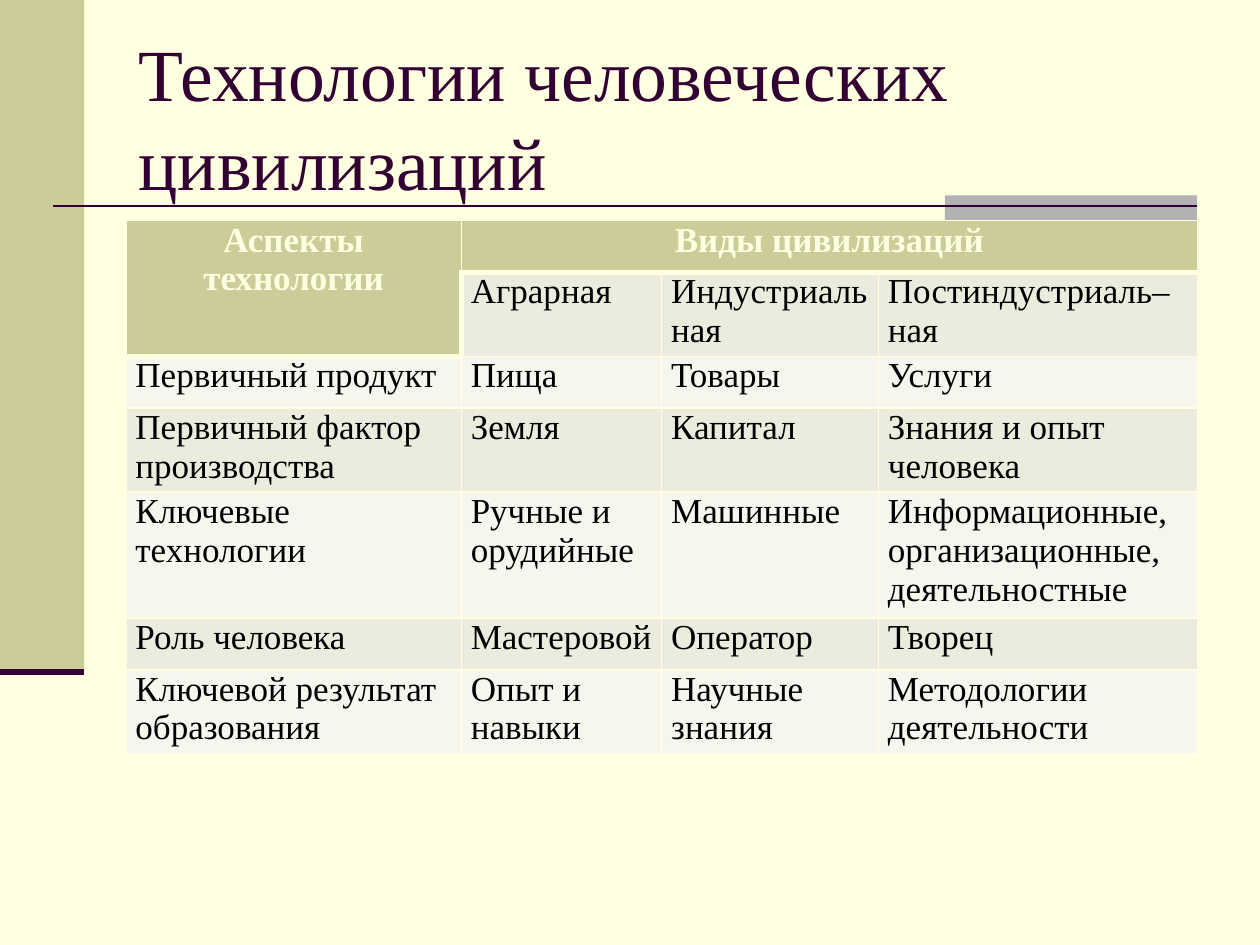
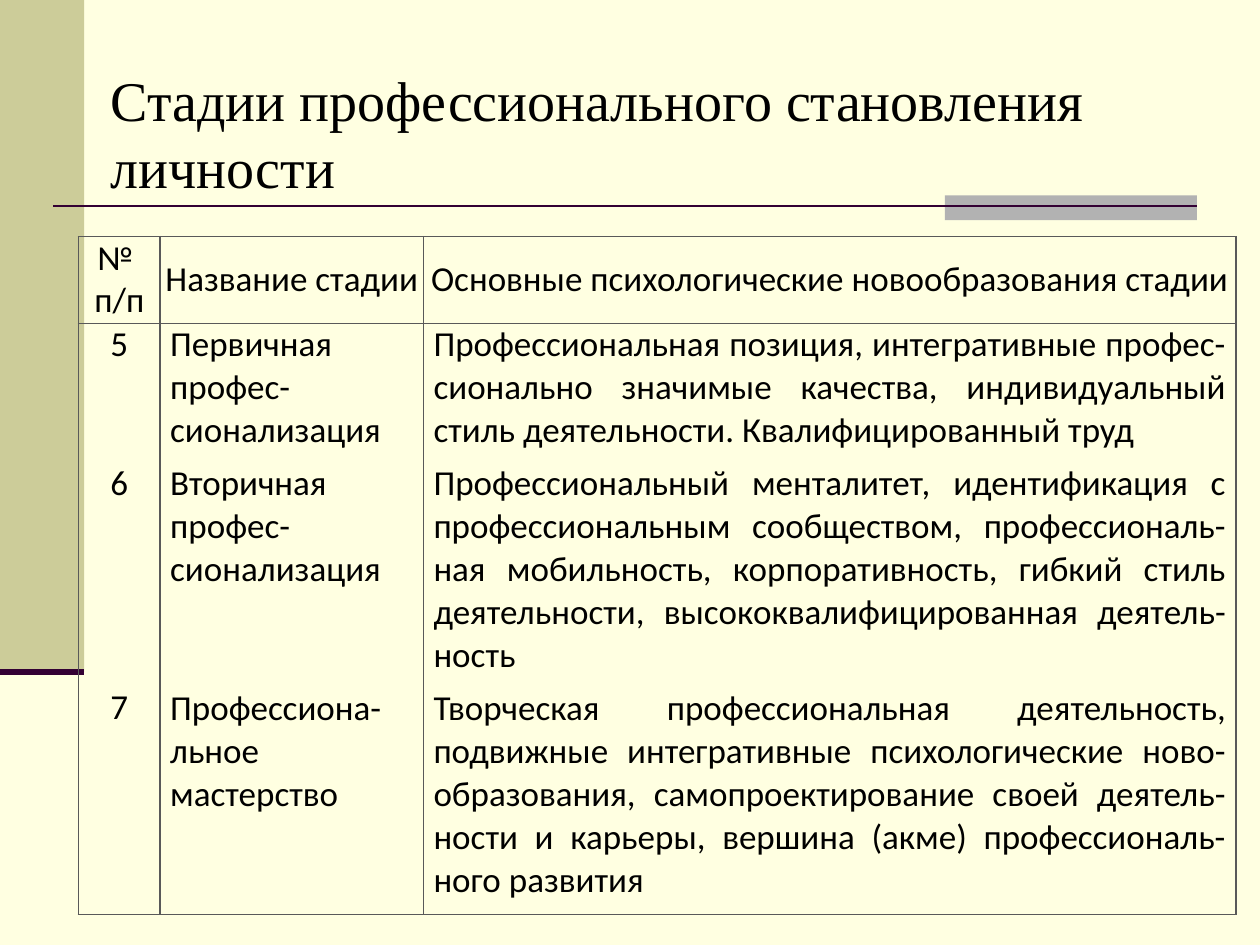
from pptx import Presentation
from pptx.dml.color import RGBColor
from pptx.enum.shapes import MSO_CONNECTOR, MSO_SHAPE
from pptx.enum.text import MSO_ANCHOR, PP_ALIGN
from pptx.oxml.xmlchemy import OxmlElement
from pptx.util import Cm, Pt

CREAM = RGBColor(0xFF, 0xFF, 0xE1)
OLIVE = RGBColor(0xCC, 0xCC, 0x99)
GREY = RGBColor(0xB2, 0xB2, 0xB2)
PLUM = RGBColor(0x33, 0x00, 0x33)
BLACK = RGBColor(0x00, 0x00, 0x00)
DARK_GREY = RGBColor(0x59, 0x59, 0x59)
BAND_DARK = RGBColor(0xEC, 0xEC, 0xDE)
BAND_LIGHT = RGBColor(0xF6, 0xF6, 0xEF)

SERIF = "Times New Roman"
SANS = "Calibri"
CELL_SIZE = 20
BLANK_LINE = 24.4  # height of one 20 pt Calibri line
STAGE_GAP = 6

CIVILIZATIONS = [
    ["Аспекты технологии", "Виды цивилизаций", "", ""],
    ["", "Аграрная", "Индустриальная", "Постиндустриаль–ная"],
    ["Первичный продукт", "Пища", "Товары", "Услуги"],
    ["Первичный фактор производства", "Земля", "Капитал", "Знания и опыт человека"],
    ["Ключевые технологии", "Ручные и орудийные", "Машинные",
     "Информационные, организационные, деятельностные"],
    ["Роль человека", "Мастеровой", "Оператор", "Творец"],
    ["Ключевой результат образования", "Опыт и навыки", "Научные знания",
     "Методологии деятельности"],
]

STAGE_HEADINGS = ["№ \vп/п", "Название стадии",
                  "Основные психологические новообразования стадии"]

# Each column: paragraphs as (text, space before in points)
STAGE_COLUMNS = [
    [("5", STAGE_GAP),
     ("6", STAGE_GAP + 2 * BLANK_LINE),
     ("7", STAGE_GAP + 4 * BLANK_LINE)],
    [("Первичная профес-сионализация", STAGE_GAP),
     ("Вторичная ", STAGE_GAP),
     ("профес-сионализация", 0),
     ("Профессиона-льное мастерство", STAGE_GAP + 2 * BLANK_LINE)],
    [("Профессиональная позиция, интегративные профес-сионально значимые "
      "качества, индивидуальный стиль деятельности. Квалифицированный труд", STAGE_GAP),
     ("Профессиональный менталитет, идентификация с профессиональным "
      "сообществом, профессиональ-ная мобильность, корпоративность, гибкий "
      "стиль деятельности, высококвалифицированная деятель-ность", STAGE_GAP),
     ("Творческая профессиональная деятельность, подвижные интегративные "
      "психологические ново-образования, самопроектирование своей "
      "деятель-ности и карьеры, вершина (акме) профессиональ-ного развития", STAGE_GAP)],
]


def apply_format(target, values):
    for name, value in values.items():
        setattr(target, name, value)


def write_paragraphs(text_frame, paragraphs, font_format, align=PP_ALIGN.LEFT):
    """Fill a text frame with (text, space before) paragraphs."""
    for index, (text, space) in enumerate(paragraphs):
        paragraph = text_frame.add_paragraph() if index else text_frame.paragraphs[0]
        paragraph.text = text
        apply_format(paragraph, {"alignment": align, "space_before": Pt(space)})
        for run in paragraph.runs:
            color = font_format["color"]
            apply_format(run.font, {key: value for key, value in font_format.items()
                                    if key != "color"})
            run.font.color.rgb = color


def font(name, size, color, bold=False):
    return {"name": name, "size": Pt(size), "bold": bold, "color": color}


def add_block(slide, left, top, width, height, color):
    shape = slide.shapes.add_shape(MSO_SHAPE.RECTANGLE, Cm(left), Cm(top),
                                   Cm(width), Cm(height))
    shape.shadow.inherit = False
    shape.fill.solid()
    shape.fill.fore_color.rgb = color
    shape.line.fill.background()


def add_rule(slide, left, right, y, weight):
    connector = slide.shapes.add_connector(MSO_CONNECTOR.STRAIGHT, Cm(left), Cm(y),
                                           Cm(right), Cm(y))
    connector.line.color.rgb = PLUM
    connector.line.width = Pt(weight)
    connector._element.spPr.append(OxmlElement("a:effectLst"))


def add_title(slide, text, box, font_format, anchor):
    shape = slide.shapes.add_textbox(*[Cm(length) for length in box])
    apply_format(shape.text_frame, {"word_wrap": True, "vertical_anchor": anchor})
    write_paragraphs(shape.text_frame, [(text, 0)], font_format)


def add_grid(slide, left, top, columns, rows):
    """Add a plain table with the given column widths and row heights."""
    frame = slide.shapes.add_table(len(rows), len(columns), Cm(left), Cm(top),
                                   Cm(sum(columns)), Cm(sum(rows)))
    table = frame.table
    apply_format(table, {"first_row": False, "horz_banding": False})
    for column, width in zip(table.columns, columns):
        column.width = Cm(width)
    for row, height in zip(table.rows, rows):
        row.height = Cm(height)
    return table


def set_borders(cell, color, thick_sides=""):
    properties = cell._tc.get_or_add_tcPr()
    for side in "LRTB":
        line = OxmlElement(f"a:ln{side}")
        line.set("w", str(Pt(3 if side in thick_sides else 1)))
        fill = OxmlElement("a:solidFill")
        shade = OxmlElement("a:srgbClr")
        shade.set("val", str(color))
        fill.append(shade)
        line.append(fill)
        properties.append(line)


def set_cell_layout(cell, left, right, anchor=MSO_ANCHOR.TOP):
    apply_format(cell, {"margin_left": Cm(left), "margin_right": Cm(right),
                        "margin_top": 0, "margin_bottom": 0,
                        "vertical_anchor": anchor})


def add_themed_slide(presentation):
    """Add a blank slide with the side band, accent block and rules."""
    slide = presentation.slides.add_slide(presentation.slide_layouts[6])
    add_block(slide, 0, 0, 1.7, 13.55, OLIVE)
    add_block(slide, 19.05, 3.94, 5.08, 0.5, GREY)
    add_rule(slide, 1.07, 24.13, 4.15, 1.5)
    add_rule(slide, 0, 1.7, 13.55, 3.5)
    return slide


def thick_sides(row, column):
    """Heavy edges separate the header cells from the body."""
    if row == 0:
        return "B"
    if row == 1:
        return {0: "B", 1: "LT"}.get(column, "T")
    return "T" if (row, column) == (2, 0) else ""


def build_civilizations(presentation):
    slide = add_themed_slide(presentation)
    add_title(slide, "Технологии человеческих цивилизаций", (2.54, 0.76, 21.59, 3.18),
              font(SERIF, 42, PLUM), MSO_ANCHOR.MIDDLE)
    table = add_grid(slide, 2.54, 4.45, [6.76, 4.04, 4.37, 6.43],
                     [1.04] * len(CIVILIZATIONS))
    table.cell(0, 0).merge(table.cell(1, 0))
    table.cell(0, 1).merge(table.cell(0, 3))

    for row, texts in enumerate(CIVILIZATIONS):
        for column, text in enumerate(texts):
            cell = table.cell(row, column)
            header = row == 0 or (row, column) == (1, 0)
            set_cell_layout(cell, 0.19, 0.19)
            set_borders(cell, CREAM, thick_sides(row, column))
            cell.fill.solid()
            band = BAND_DARK if row % 2 else BAND_LIGHT
            cell.fill.fore_color.rgb = OLIVE if header else band
            if text:
                body_align = PP_ALIGN.JUSTIFY if row == 1 else PP_ALIGN.LEFT
                write_paragraphs(cell.text_frame, [(text, 0)],
                                 font(SERIF, CELL_SIZE, CREAM if header else BLACK, header),
                                 PP_ALIGN.CENTER if header else body_align)


def build_stages(presentation):
    slide = add_themed_slide(presentation)
    table = add_grid(slide, 1.58, 4.77, [1.65, 5.31, 16.38], [1.75, 11.92])
    cell_font = font(SANS, CELL_SIZE, BLACK)
    margins = [(0.05, 0.05), (0.2, 0.1), (0.2, 0.2)]
    aligns = [PP_ALIGN.CENTER, PP_ALIGN.LEFT, PP_ALIGN.JUSTIFY]

    for column, heading in enumerate(STAGE_HEADINGS):
        # Heading cell
        cell = table.cell(0, column)
        set_cell_layout(cell, 0.05, 0.05, MSO_ANCHOR.MIDDLE if column else MSO_ANCHOR.TOP)
        write_paragraphs(cell.text_frame, [(heading, 0)], cell_font, PP_ALIGN.CENTER)
        # Body cell
        body = table.cell(1, column)
        set_cell_layout(body, *margins[column])
        write_paragraphs(body.text_frame, STAGE_COLUMNS[column], cell_font, aligns[column])
        for part in (cell, body):
            set_borders(part, DARK_GREY)
            part.fill.background()

    add_title(slide, "Стадии профессионального становления личности",
              (1.98, 1.19, 22.83, 3), font(SERIF, 32, BLACK), MSO_ANCHOR.TOP)


def main():
    presentation = Presentation()
    apply_format(presentation, {"slide_width": Cm(25.4), "slide_height": Cm(19.05)})
    background = presentation.slide_master.background.fill
    background.solid()
    background.fore_color.rgb = CREAM
    build_civilizations(presentation)
    build_stages(presentation)
    presentation.save("out.pptx")


main()
